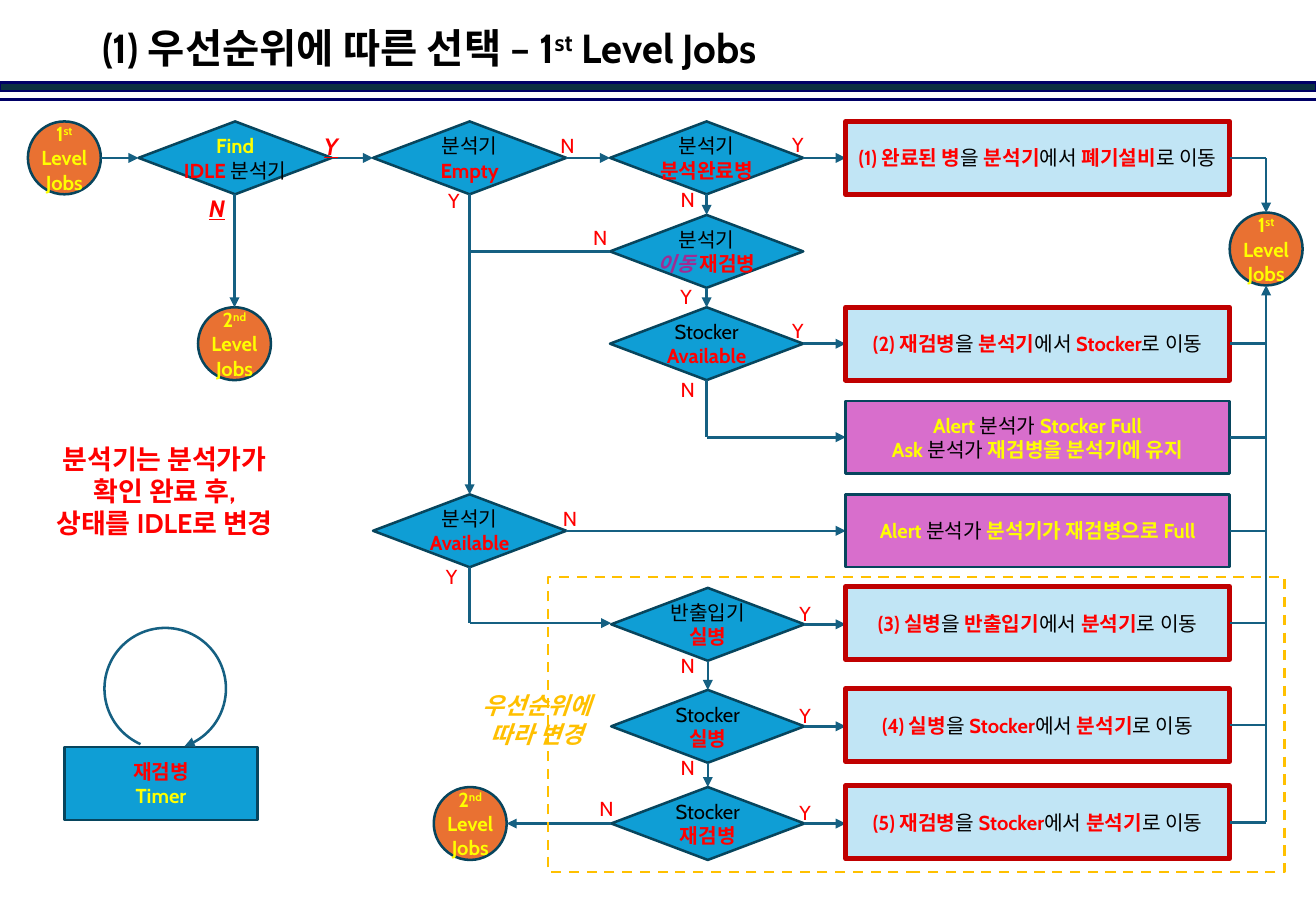
import pptx
import pptx.util
import pptx.dml.color
import pptx.enum.dml
import pptx.enum.shapes
import pptx.enum.text
import pptx.oxml.ns
from lxml import etree

Inches, Pt = pptx.util.Inches, pptx.util.Pt
SHAPE = pptx.enum.shapes.MSO_SHAPE
ANCHOR = pptx.enum.text.MSO_ANCHOR
ALIGN = pptx.enum.text.PP_ALIGN
qn = pptx.oxml.ns.qn

FONT = "Cabin"
BLUE, EDGE, ARROW = "0F9ED5", "07455D", "156082"
RED, BLACK, YELLOW, GOLD = "FF0000", "000000", "FFFF00", "FFC000"
DIAMOND_W, NODE_H, ACTION_W = 1.59, 0.6, 3.16
MID = NODE_H / 2
ACTION_GAP = 0.35
# Row centres, measured down from the first row
ROWS = [0, 0.77, 1.53, 2.3, 3.07, 3.83, 4.67, 5.47]


def rgb(color):
    return pptx.dml.color.RGBColor.from_string(color)


def add_text(sp, paragraphs, size=12, align=ALIGN.CENTER, anchor=ANCHOR.MIDDLE, spacing=None):
    """Fill sp; each paragraph is a list of (text, colour, style) runs, style from b, i, u, ^."""
    tf = sp.text_frame
    tf.word_wrap = False
    tf.vertical_anchor = anchor
    for i, runs in enumerate(paragraphs):
        p = tf.paragraphs[0] if i == 0 else tf.add_paragraph()
        p.alignment = align
        if spacing:
            p.line_spacing = spacing
        for text, color, style in runs:
            for n, line in enumerate(text.split("\n")):
                if n:
                    p.add_line_break()
                    etree.SubElement(p._p[-1], qn("a:rPr"), sz=str(size * 100))
                if not line:
                    continue
                r = p.add_run()
                r.text = line
                r.font.size, r.font.name = Pt(size), FONT
                r.font.color.rgb = rgb(color)
                r.font.bold, r.font.italic = "b" in style, "i" in style
                r.font.underline = "u" in style
                rpr = r.font._element
                etree.SubElement(rpr, qn("a:ea"), typeface=FONT)
                if "^" in style:
                    rpr.set("baseline", "30000")


def add_shape(s, kind, x, y, w, h, fill=None, line=EDGE, weight=1.5):
    sp = s.shapes.add_shape(kind, Inches(x), Inches(y), Inches(w), Inches(h))
    sp.shadow.inherit = False
    if fill:
        sp.fill.solid()
        sp.fill.fore_color.rgb = rgb(fill)
    else:
        sp.fill.background()
    sp.line.color.rgb = rgb(line)
    sp.line.width = Pt(weight)
    return sp


def add_textbox(s, x, y, w, h, paragraphs, **fmt):
    sp = s.shapes.add_textbox(Inches(x), Inches(y), Inches(w), Inches(h))
    add_text(sp, paragraphs, **fmt)
    sp.text_frame.auto_size = pptx.enum.text.MSO_AUTO_SIZE.SHAPE_TO_FIT_TEXT


def add_arrowhead(line):
    etree.SubElement(line._get_or_add_ln(), qn("a:tailEnd"), type="triangle")


def route(s, *points, color=ARROW, arrow=True):
    """Join the points by straight legs, with the arrowhead on the last."""
    for start, end in zip(points, points[1:]):
        c = s.shapes.add_connector(pptx.enum.shapes.MSO_CONNECTOR.STRAIGHT,
                                   *(Inches(v) for v in start + end))
        c.line.color.rgb = rgb(color)
        c.line.width = Pt(1.5)
        etree.SubElement(c._element.spPr, qn("a:effectLst"))
    if arrow:
        add_arrowhead(c.line)


def diamond(s, x, y, *runs):
    add_text(add_shape(s, SHAPE.DIAMOND, x, y, DIAMOND_W, NODE_H, BLUE), [runs])


def question(s, x, y, subject, state):
    diamond(s, x, y, (subject + "\n", BLACK, ""), (state, RED, "b"))


def jobs_circle(s, x, y, number, suffix):
    sp = add_shape(s, SHAPE.OVAL, x, y, NODE_H, NODE_H, "E97132")
    add_text(sp, [[(number, YELLOW, "b"), (suffix + "\n", YELLOW, "b^"),
                   ("Level\nJobs", YELLOW, "b")]])


def answer(s, x, y, text):
    w = 0.29 if text == "Y" else 0.32
    add_textbox(s, x, y, w, 0.3, [[(text, RED, "")]], anchor=ANCHOR.TOP)


def main_answer(s, x, y, text):
    add_textbox(s, x, y, 0.33, 0.34, [[(text, RED, "biu")]], size=14)


def header(s, x, y, w):
    title = s.shapes.title
    title.left, title.top = Inches(x + 0.74), Inches(y + 0.15)
    title.width, title.height = Inches(9.35), Inches(0.53)
    add_text(title, [[("(1) 우선순위에 따른 선택 – 1", BLACK, "b"), ("st", BLACK, "b^"),
                      (" Level Jobs", BLACK, "b")]],
             size=24, align=ALIGN.LEFT, spacing=0.9)
    add_shape(s, SHAPE.RECTANGLE, x, y + 0.68, w, 0.07, "0B3041", line="000066")
    route(s, (x, y + 0.82), (x + w, y + 0.82), color="000066", arrow=False)


def idle_search(s, x, y):
    mid = y + MID
    jobs_circle(s, x, y, "1", "st")
    diamond(s, x + 0.91, y, ("Find\n", YELLOW, "b"), ("IDLE ", RED, "b"), ("분석기", BLACK, ""))
    jobs_circle(s, x + 1.4, y + ROWS[2], "2", "nd")
    route(s, (x + 0.6, mid), (x + 0.91, mid))
    route(s, (x + 2.5, mid), (x + 2.84, mid))
    route(s, (x + 1.7, y + NODE_H), (x + 1.7, y + ROWS[2]))
    main_answer(s, x + 2.33, y + 0.03, "Y")
    main_answer(s, x + 1.39, y + 0.54, "N")


def analyzer_checks(s, x, y):
    """Empty and available checks on the left, finished and retest checks on the right."""
    cx, right, col, action = x + DIAMOND_W / 2, x + DIAMOND_W, x + 1.95, x + 3.89
    col_cx, col_right = col + DIAMOND_W / 2, col + DIAMOND_W
    rows = [y + MID + r for r in ROWS]
    question(s, x, y, "분석기", "Empty")
    question(s, x, y + ROWS[4], "분석기", "Available")
    question(s, col, y, "분석기", "분석완료병")
    diamond(s, col, y + ROWS[1], ("분석기\n", BLACK, ""), ("이동 ", "A02B93", "bi"),
            ("재검병", RED, "b"))
    question(s, col, y + ROWS[2], "Stocker", "Available")
    route(s, (right, rows[0]), (col, rows[0]))
    route(s, (cx, y + NODE_H), (cx, y + ROWS[4]))
    route(s, (col, rows[1]), (cx, rows[1]), arrow=False)
    for upper, lower in zip(ROWS[:2], ROWS[1:3]):
        route(s, (col_cx, y + upper + NODE_H), (col_cx, y + lower))
    for row in (0, 2):
        route(s, (col_right, rows[row]), (action, rows[row]))
        answer(s, x + 3.35, y + ROWS[row] + 0.04, "Y")
    route(s, (col_cx, y + ROWS[2] + NODE_H), (col_cx, rows[3]), (action, rows[3]))
    route(s, (right, rows[4]), (action, rows[4]))
    route(s, (cx, y + ROWS[4] + NODE_H), (cx, rows[5]), (x + 1.96, rows[5]))
    for dx, dy, text in [(1.44, 0.05, "N"), (2.43, 0.49, "N"), (0.52, 0.5, "Y"),
                         (1.71, 0.81, "N"), (2.43, 1.29, "Y"), (2.43, 2.06, "N"),
                         (1.46, 3.12, "N"), (0.5, 3.6, "Y")]:
        answer(s, x + dx, y + dy, text)


def priority_checks(s, x, y):
    """Dashed region with the checks whose order can change."""
    left, tops = x + 0.52, [y + 0.09 + r - ROWS[5] for r in ROWS[5:]]
    right, cx = left + DIAMOND_W, left + DIAMOND_W / 2
    checks = [("반출입기", "실병"), ("Stocker", "실병"), ("Stocker", "재검병")]
    for top, check in zip(tops, checks):
        question(s, left, top, *check)
        route(s, (right, top + MID), (right + ACTION_GAP - 0.01, top + MID))
        answer(s, x + 1.97, top + 0.06, "Y")
    for upper, lower in zip(tops, tops[1:]):
        route(s, (cx, upper + NODE_H), (cx, lower))
        answer(s, x + 0.99, upper + 0.49, "N")
    jobs_circle(s, x - 0.94, tops[2], "2", "nd")
    route(s, (left, tops[2] + MID), (x - 0.34, tops[2] + MID))
    answer(s, x + 0.32, tops[2] + 0.03, "N")
    frame = add_shape(s, SHAPE.RECTANGLE, x, y, 6.06, 2.43, line=GOLD)
    frame.line.dash_style = pptx.enum.dml.MSO_LINE.DASH
    add_textbox(s, x - 0.68, y + 0.89, 1.18, 0.57,
                [[("우선순위에\n따라 변경", GOLD, "bi")]], size=14, anchor=ANCHOR.TOP)


def actions(s, x, y):
    """Result boxes and the shared line that leads back to the first-level jobs."""
    moves = {0: ("(1) 완료된 병", "분석기", "폐기설비"), 2: ("(2) 재검병", "분석기", "Stocker"),
             5: ("(3) 실병", "반출입기", "분석기"), 6: ("(4) 실병", "Stocker", "분석기"),
             7: ("(5) 재검병", "Stocker", "분석기")}
    alerts = {3: [[("Alert ", YELLOW, "b"), ("분석가 ", BLACK, ""), ("Stocker Full", YELLOW, "b")],
                  [("Ask ", YELLOW, "b"), ("분석가", BLACK, ""),
                   (" 재검병을 분석기에 유지", YELLOW, "b")]],
              4: [[("Alert ", YELLOW, "b"), ("분석가 ", BLACK, ""),
                   ("분석기가 재검병으로 Full", YELLOW, "b")]]}
    for row, (bottle, source, target) in moves.items():
        sp = add_shape(s, SHAPE.RECTANGLE, x, y + ROWS[row], ACTION_W, NODE_H,
                       "C1E5F5", line="C00000", weight=3)
        add_text(sp, [[(bottle, RED, "b"), ("을 ", BLACK, ""), (source, RED, "b"),
                       ("에서 ", BLACK, ""), (target, RED, "b"), ("로 이동", BLACK, "")]])
    for row, paragraphs in alerts.items():
        sp = add_shape(s, SHAPE.RECTANGLE, x, y + ROWS[row], ACTION_W, NODE_H, "D86ECC")
        add_text(sp, paragraphs)
    right, bus = x + ACTION_W, x + 3.46
    jobs_circle(s, right, y + 0.75, "1", "st")
    route(s, (right, y + MID), (bus, y + MID), (bus, y + 0.75))
    for row in ROWS[2:-1]:
        route(s, (right, y + row + MID), (bus, y + row + MID), arrow=False)
    last = y + ROWS[-1] + MID
    route(s, (right, last), (bus, last), (bus, y + 1.35))


def side_notes(s, x, y):
    add_textbox(s, x, y, 2.11, 0.91, [[("분석기는 분석가가\n확인 완료 후,", RED, "b")],
                                      [("상태를 IDLE로 변경", RED, "b")]],
                size=16, anchor=ANCHOR.TOP)
    timer = add_shape(s, SHAPE.RECTANGLE, x + 0.23, y + 2.56, DIAMOND_W, NODE_H, BLUE)
    add_text(timer, [[("재검병", RED, "b")], [("Timer", YELLOW, "b")]])
    loop = add_shape(s, SHAPE.ARC, x + 0.56, y + 1.58, 1, 1, line=ARROW)
    loop.adjustments[0], loop.adjustments[1] = 68.38, 42.85
    add_arrowhead(loop.line)


def main():
    prs = pptx.Presentation()
    prs.slide_width, prs.slide_height = Inches(10.83), Inches(7.5)
    s = prs.slides.add_slide(prs.slide_layouts[5])
    header(s, 0, 0, 10.83)
    idle_search(s, 0.23, 1)
    analyzer_checks(s, 3.07, 1)
    priority_checks(s, 4.51, 4.75)
    actions(s, 6.96, 1)
    side_notes(s, 0.3, 3.59)
    prs.save("out.pptx")


if __name__ == "__main__":
    main()
